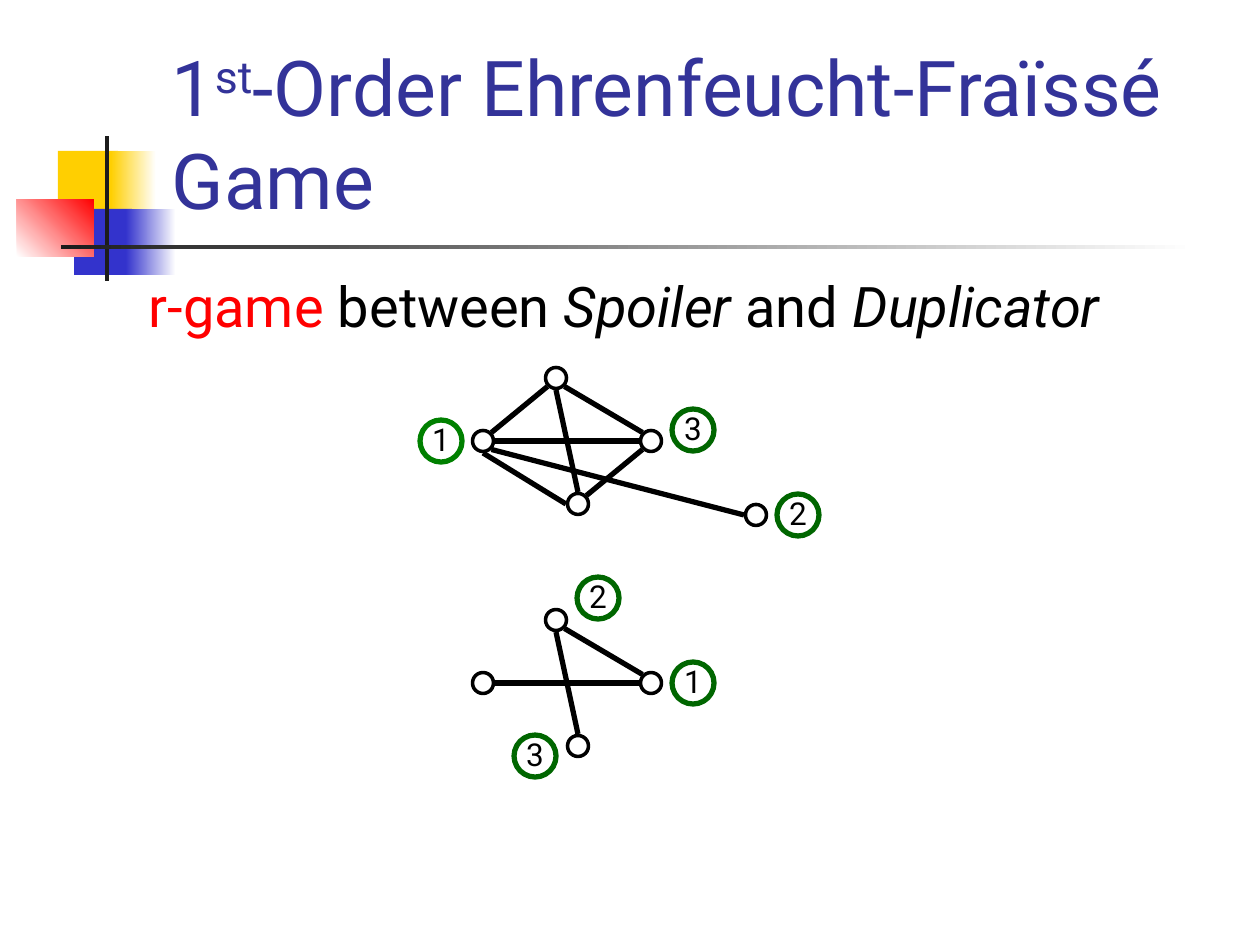
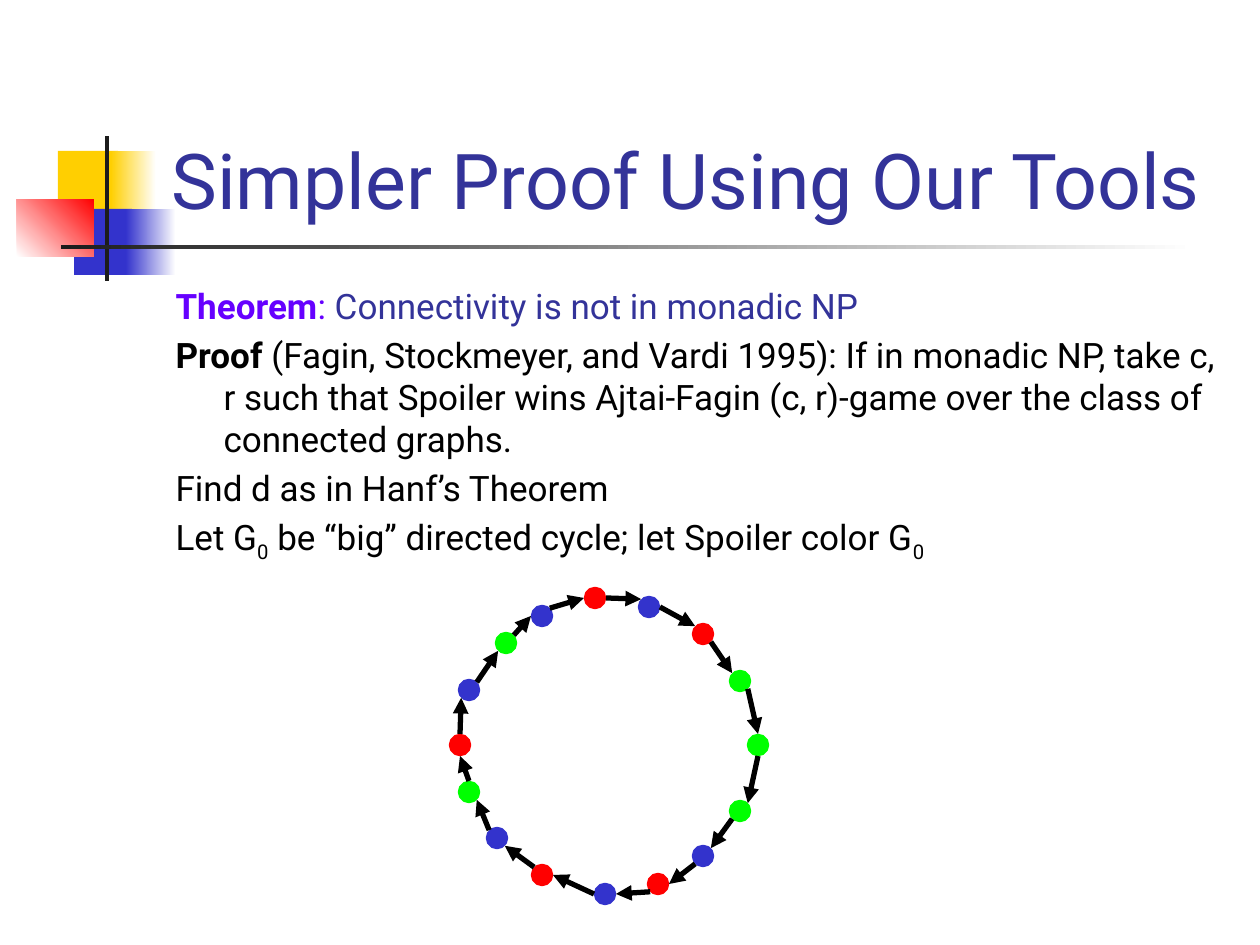
import pptx
import pptx.dml.color
import pptx.enum.shapes
import pptx.enum.text
import pptx.oxml
import pptx.oxml.ns
import pptx.util
from lxml import etree

EMU_PER_PX = 914400 / 126
FONT = "Roboto"
BLACK, WHITE, INK = "000000", "FFFFFF", "1C1C1C"
NAVY, BLUE, RED, LIME = "333399", "3333CC", "FF0000", "00FF00"
YELLOW, PURPLE, GREEN, DARK_GREEN = "FFCF01", "6600FF", "008000", "006600"
COMPASS = {
    "N": (0, -1), "NE": (0.71, -0.71), "E": (1, 0), "SE": (0.71, 0.71),
    "S": (0, 1), "SW": (-0.71, 0.71), "W": (-1, 0), "NW": (-0.71, -0.71),
}
SHAPE = pptx.enum.shapes.MSO_SHAPE
ALIGN = pptx.enum.text.PP_ALIGN
ANCHOR = pptx.enum.text.MSO_ANCHOR


def px(n):
    return pptx.util.Emu(round(n * EMU_PER_PX))


def rgb(color):
    return pptx.dml.color.RGBColor.from_string(color)


def place(sp, x, y, w, h):
    sp.left, sp.top, sp.width, sp.height = px(x), px(y), px(w), px(h)


def add_run(p, text, size, color=BLACK, bold=False, italic=False, baseline=0):
    """Baseline is a percentage: above zero raises the text."""
    r = p.add_run()
    r.text = text
    font = r.font
    font.name, font.size = FONT, pptx.util.Pt(size)
    font.bold, font.italic = bold, italic
    font.color.rgb = rgb(color)
    if baseline:
        r._r.get_or_add_rPr().set("baseline", str(baseline * 1000))


def add_rect(shapes, x, y, w, h, colors, angle=0):
    """One colour gives a solid fill, two a gradient."""
    sp = shapes.add_shape(SHAPE.RECTANGLE, px(x), px(y), px(w), px(h))
    sp.shadow.inherit = False
    sp.line.fill.background()
    if len(colors) == 1:
        sp.fill.solid()
        sp.fill.fore_color.rgb = rgb(colors[0])
    else:
        sp.fill.gradient()
        sp.fill.gradient_angle = angle
        for stop, color in zip(sp.fill.gradient_stops, colors):
            stop.color.rgb = rgb(color)
    return sp


def add_circle(shapes, center, diameter, line, width, fill=None):
    x, y = (c - diameter / 2 for c in center)
    sp = shapes.add_shape(SHAPE.OVAL, px(x), px(y), px(diameter), px(diameter))
    sp.shadow.inherit = False
    sp.line.color.rgb = rgb(line)
    sp.line.width = pptx.util.Pt(width)
    if fill:
        sp.fill.solid()
        sp.fill.fore_color.rgb = rgb(fill)
    else:
        sp.fill.background()
    return sp


def add_edge(shapes, start, leave, end, enter, gap, arrow=False):
    """Join two node centres, keeping a gap in the given compass directions."""
    ends = [px(c + gap * d)
            for center, side in ((start, leave), (end, enter))
            for c, d in zip(center, COMPASS[side])]
    line = shapes.add_connector(pptx.enum.shapes.MSO_CONNECTOR.STRAIGHT, *ends)
    line.line.color.rgb = rgb(BLACK)
    line.line.width = pptx.util.Pt(3)
    if arrow:
        tail = etree.SubElement(line.line._get_or_add_ln(), pptx.oxml.ns.qn("a:tailEnd"))
        tail.set("type", "triangle")
    etree.SubElement(line._element.spPr, pptx.oxml.ns.qn("a:effectLst"))


def add_master_band(prs, s, x, y):
    """Draw the corner squares and rules on s, then hand them to the master."""
    parts = [
        (41, 15, 60, 66, [YELLOW]),
        (94, 15, 45, 66, [YELLOW, WHITE]),
        (57, 73, 58, 66, [BLUE]),
        (109, 73, 50, 66, [BLUE, WHITE]),
        (0, 63, 77, 58, [WHITE, RED], 45),
        (88, 0, 4, 145, [INK]),
        (44, 109, 1134, 4, [INK, WHITE]),
    ]
    tree = prs.slide_master.shapes.element
    for i, (left, top, *rest) in enumerate(parts):
        tree.insert(2 + i, add_rect(s.shapes, x + left, y + top, *rest).element)


def add_title(s, runs):
    title = s.shapes.title
    place(title, 159, 29, 1074, 202)
    tf = title.text_frame
    tf.auto_size = pptx.enum.text.MSO_AUTO_SIZE.NONE
    tf.vertical_anchor = ANCHOR.BOTTOM
    p = tf.paragraphs[0]
    p.alignment = ALIGN.LEFT
    for text, baseline in runs:
        add_run(p, text, 44, NAVY, baseline=baseline)


def add_body(s, box, size, paragraphs, line_spacing=1.0):
    body = s.placeholders[1]
    place(body, *box)
    tf = body.text_frame
    tf.auto_size = pptx.enum.text.MSO_AUTO_SIZE.NONE
    for i, runs in enumerate(paragraphs):
        p = tf.add_paragraph() if i else tf.paragraphs[0]
        p.line_spacing = line_spacing
        p.space_before = pptx.util.Pt(size / 5)
        pPr = p._p.get_or_add_pPr()
        pPr.set("marL", str(px(48)))
        pPr.set("indent", str(px(-48)))
        etree.SubElement(pPr, pptx.oxml.ns.qn("a:buNone"))
        for text, style in runs:
            add_run(p, text, size, **style)


def add_graph(s, x, y, nodes, edges, pebbles):
    centers = {name: (x + dx, y + dy) for name, (dx, dy) in nodes.items()}
    shapes = s.shapes.add_group_shape().shapes
    for center in centers.values():
        add_circle(shapes, center, 21, BLACK, 2)
    for start, leave, end, enter in edges:
        add_edge(shapes, centers[start], leave, centers[end], enter, 12)
    for number, dx, dy, color in pebbles:
        sp = add_circle(s.shapes, (x + dx, y + dy), 42, color, 3)
        tf = sp.text_frame
        tf.word_wrap = False
        tf.vertical_anchor = ANCHOR.MIDDLE
        p = tf.paragraphs[0]
        p.alignment = ALIGN.CENTER
        p.line_spacing = 0.9
        p.space_before = pptx.util.Pt(3.6)
        add_run(p, number, 18)


def add_directed_cycle(s, x, y):
    # centre, colour, side where the arrow enters, side where the next one leaves
    nodes = [
        (145, 11, RED, "W", "E"), (199, 20, BLUE, "NW", "E"),
        (253, 47, RED, "NW", "SE"), (290, 94, LIME, "NW", "SE"),
        (308, 158, LIME, "N", "S"), (290, 224, LIME, "NE", "SW"),
        (253, 269, BLUE, "NE", "SW"), (208, 297, RED, "E", "SW"),
        (155, 307, BLUE, "E", "W"), (92, 288, RED, "E", "NW"),
        (47, 251, BLUE, "SE", "NW"), (19, 205, LIME, "SE", "N"),
        (10, 158, RED, "S", "N"), (19, 103, BLUE, "SW", "NE"),
        (56, 56, LIME, "SW", "NE"), (92, 29, BLUE, "W", "NE"),
    ]
    shapes = s.shapes.add_group_shape().shapes
    for dx, dy, color, *_ in nodes:
        add_circle(shapes, (x + dx, y + dy), 19, color, 2, color)
    for (ax, ay, _, _, leave), (bx, by, _, enter, _) in zip(nodes, nodes[1:] + nodes[:1]):
        add_edge(shapes, (x + ax, y + ay), leave, (x + bx, y + by), enter, 11, arrow=True)


def build_game_slide(s):
    add_title(s, [("1", 0), ("st", 30), ("-Order Ehrenfeucht-Fraïssé Game", 0)])
    add_body(s, (136, 273, 1071, 73), 32, [[
        ("r-game", {"color": RED}), (" between ", {}), ("Spoiler", {"italic": True}),
        (" and ", {}), ("Duplicator", {"italic": True}),
    ]], line_spacing=0.9)

    nodes = {"top": (84, 11), "left": (11, 74), "right": (179, 74), "bottom": (106, 137)}
    common_edges = [
        ("top", "SE", "right", "NW"),
        ("top", "S", "bottom", "N"),
        ("left", "E", "right", "W"),
    ]
    extra_edges = [
        ("left", "NE", "top", "SW"),
        ("bottom", "NE", "right", "SW"),
        ("left", "S", "bottom", "W"),
        ("left", "SE", "far", "W"),
    ]
    add_graph(s, 472, 367, {**nodes, "far": (284, 148)}, common_edges + extra_edges, [
        ("1", -31, 74, GREEN), ("2", 326, 148, DARK_GREEN), ("3", 221, 63, DARK_GREEN)])
    add_graph(s, 472, 609, nodes, common_edges, [
        ("1", 221, 74, DARK_GREEN), ("2", 126, -11, DARK_GREEN), ("3", 63, 147, DARK_GREEN)])


def build_proof_slide(s):
    add_title(s, [("Simpler Proof Using Our Tools", 0)])
    subscript = ("0", {"baseline": -25})
    add_body(s, (163, 278, 1071, 567), 20, [
        [("Theorem", {"color": PURPLE, "bold": True}), (": ", {"color": PURPLE}),
         ("Connectivity is not in monadic NP", {"color": NAVY})],
        [("Proof", {"bold": True}),
         (" (Fagin, Stockmeyer, and Vardi 1995): If in monadic NP, take c, r such that "
          "Spoiler wins Ajtai-Fagin (c, r)-game over the class of connected graphs.", {})],
        [("Find d as in Hanf’s Theorem", {})],
        [("Let G", {}), subscript,
         (" be “big” directed cycle; let Spoiler color G", {}), subscript],
    ])
    add_directed_cycle(s, 450, 587)


def main():
    prs = pptx.Presentation()
    prs.slide_width, prs.slide_height = px(1260), px(945)
    layout = prs.slide_layouts[1]
    game, proof = (prs.slides.add_slide(layout) for _ in range(2))
    add_master_band(prs, game, 17, 136)
    build_game_slide(game)
    build_proof_slide(proof)
    prs.save("out.pptx")


if __name__ == "__main__":
    main()
